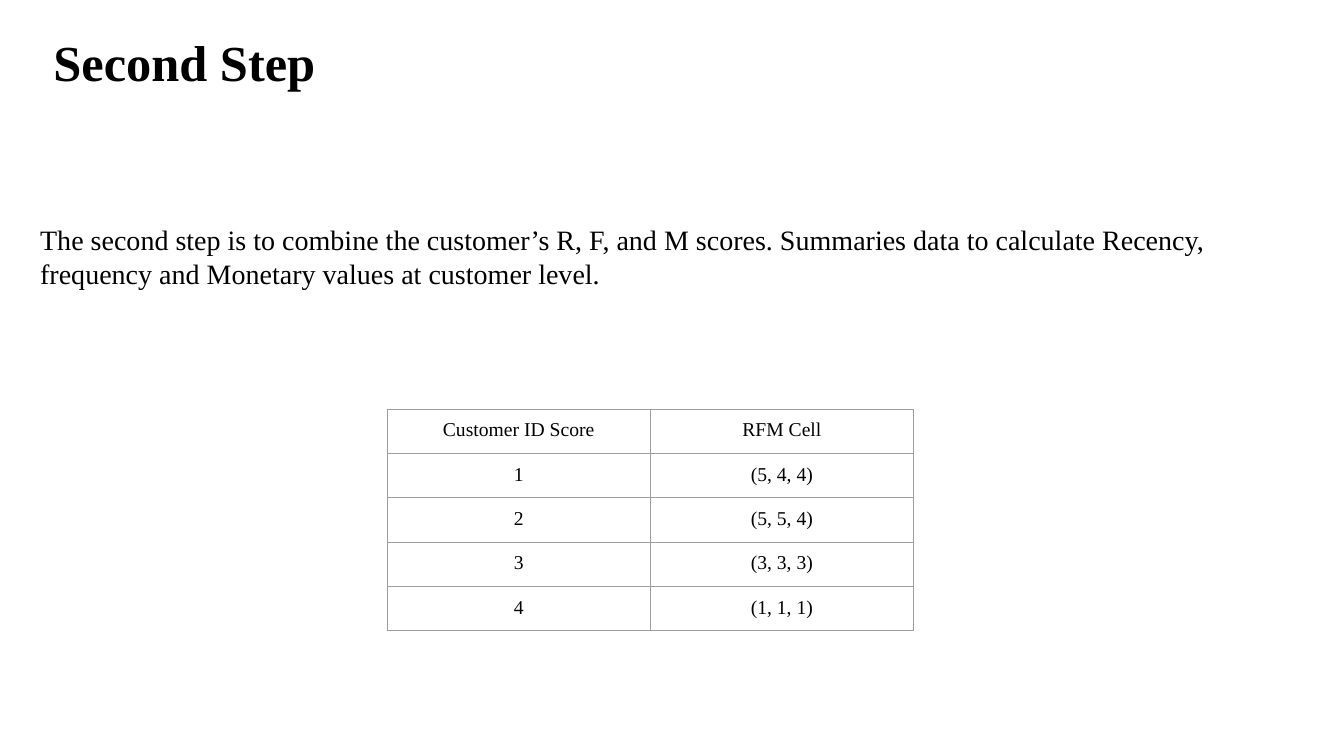
from pptx import Presentation
from pptx.dml.color import RGBColor
from pptx.enum.text import MSO_ANCHOR, PP_ALIGN
from pptx.oxml import parse_xml
from pptx.oxml.ns import nsdecls
from pptx.util import Inches, Pt

FONT = "Times New Roman"
BLACK = RGBColor(0x00, 0x00, 0x00)
GREY = RGBColor(0x9E, 0x9E, 0x9E)

BODY = (
    "The second step is to combine the customer’s R, F, and M scores. "
    "Summaries data to calculate Recency, frequency and Monetary values "
    "at customer level."
)
SCORES = [
    ("Customer ID Score", "RFM Cell"),
    ("1", "(5, 4, 4)"),
    ("2", "(5, 5, 4)"),
    ("3", "(3, 3, 3)"),
    ("4", "(1, 1, 1)"),
]


def set_text(tf, text, size, bold=False, align=PP_ALIGN.LEFT):
    """Fill a text frame with one formatted paragraph."""
    tf.text = text
    tf.word_wrap = True
    p = tf.paragraphs[0]
    p.alignment = align
    font = p.runs[0].font
    font.name, font.size, font.bold = FONT, Pt(size), bold
    font.color.rgb = BLACK


def add_title(s, text, left, top, width, height):
    """Place and format the title placeholder."""
    sp = s.shapes.title
    sp.left, sp.top = Inches(left), Inches(top)
    sp.width, sp.height = Inches(width), Inches(height)
    set_text(sp.text_frame, text, 36, bold=True)
    sp.text_frame.vertical_anchor = MSO_ANCHOR.TOP


def add_body(s, text, left, top, width, height):
    """Add a wrapped text box."""
    sp = s.shapes.add_textbox(Inches(left), Inches(top), Inches(width), Inches(height))
    set_text(sp.text_frame, text, 20)


def set_borders(cell, color, width):
    """Draw a solid line on all four sides of a cell."""
    tcPr = cell._tc.get_or_add_tcPr()
    for side in ("lnL", "lnR", "lnT", "lnB"):
        tcPr.append(parse_xml(
            f'<a:{side} {nsdecls("a")} w="{Pt(width)}"><a:solidFill>'
            f'<a:srgbClr val="{color}"/></a:solidFill></a:{side}>'
        ))


def add_table(s, rows, left, top, col_width, row_height):
    """Add a plain bordered table with centred text."""
    n_rows, n_cols = len(rows), len(rows[0])
    table = s.shapes.add_table(
        n_rows, n_cols, Inches(left), Inches(top),
        Inches(col_width * n_cols), Inches(row_height * n_rows),
    ).table
    table.first_row = table.horz_banding = False
    for i, values in enumerate(rows):
        for j, value in enumerate(values):
            cell = table.cell(i, j)
            set_text(cell.text_frame, value, 14, align=PP_ALIGN.CENTER)
            cell.margin_left = cell.margin_right = Inches(0.1)
            cell.margin_top = cell.margin_bottom = Inches(0.1)
            set_borders(cell, GREY, 0.75)
            cell.fill.background()


def main():
    """Build the slide and save it."""
    prs = Presentation()
    prs.slide_width, prs.slide_height = Inches(13.33), Inches(7.5)
    s = prs.slides.add_slide(prs.slide_layouts[5])
    add_title(s, "Second Step", 0.43, 0.26, 12.24, 0.71)
    add_body(s, BODY, 0.3, 2.16, 12.84, 2.42)
    add_table(s, SCORES, 3.84, 4.06, 2.61, 0.44)
    prs.save("out.pptx")


main()
